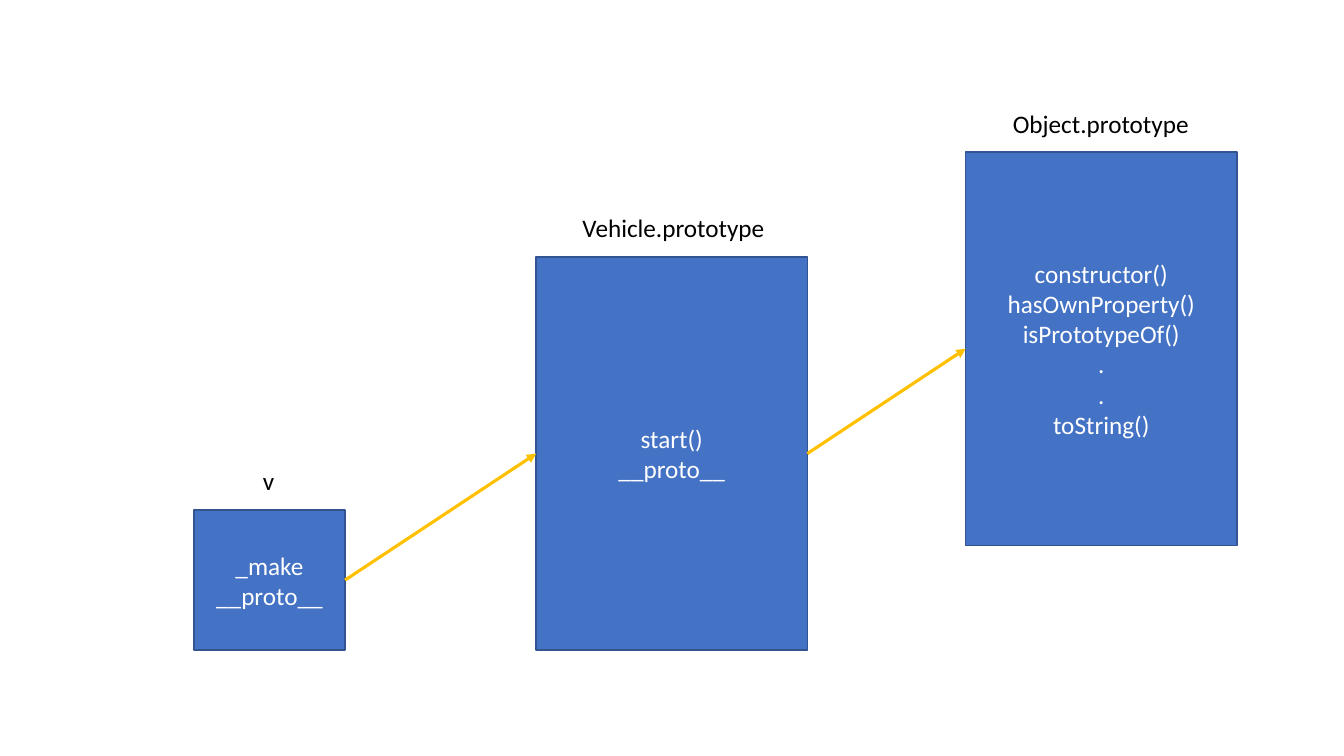
from pptx import Presentation
from pptx.dml.color import RGBColor
from pptx.enum.shapes import MSO_CONNECTOR as CONNECTOR, MSO_SHAPE as SHAPE
from pptx.enum.text import MSO_ANCHOR as ANCHOR, MSO_AUTO_SIZE as AUTO_SIZE, PP_ALIGN as ALIGN
from pptx.oxml.ns import qn
from pptx.util import Pt
from lxml import etree

LABEL_RISE = 35.2
LABEL_HEIGHT = 29


def color(hex_code):
    return RGBColor.from_string(hex_code)


def write_lines(frame, lines, hex_code, alignment):
    frame.text = "\n".join(lines)
    for para in frame.paragraphs:
        para.alignment = alignment
        para.font.name = "Calibri"
        para.font.size = Pt(18)
        para.font.color.rgb = color(hex_code)


deck = Presentation()
deck.slide_width, deck.slide_height = Pt(960), Pt(540)
page = deck.slides.add_slide(deck.slide_layouts[6])

# Prototype chain: label, label left and width, box left, top, width, height, members
chain = [
    ("v", 180.7, 23, 138.5, 364.3, 108, 100.1, ["_make", "__proto__"]),
    ("Vehicle.prototype", 409, 146.2, 383, 183.6, 193.7, 280.8, ["start()", "__proto__"]),
    ("Object.prototype", 716.4, 141.1, 689.8, 108.7, 193.7, 280.8,
     ["constructor()", "hasOwnProperty()", "isPrototypeOf()", ".", ".", "toString()"]),
]

boxes = []
for name, label_left, label_width, left, top, width, height, members in chain:
    box = page.shapes.add_shape(SHAPE.RECTANGLE, Pt(left), Pt(top), Pt(width), Pt(height))
    box.shadow.inherit = False
    box.fill.solid()
    box.fill.fore_color.rgb = color("4472C4")
    box.line.color.rgb = color("325491")
    box.line.width = Pt(1)
    box.text_frame.vertical_anchor = ANCHOR.MIDDLE
    write_lines(box.text_frame, members, "FFFFFF", ALIGN.CENTER)
    boxes.append(box)

    label = page.shapes.add_textbox(
        Pt(label_left), Pt(top - LABEL_RISE), Pt(label_width), Pt(LABEL_HEIGHT))
    label.text_frame.word_wrap = False
    label.text_frame.auto_size = AUTO_SIZE.SHAPE_TO_FIT_TEXT
    write_lines(label.text_frame, [name], "000000", ALIGN.LEFT)

# Each object points to its prototype, from right side to left side
for child, prototype in zip(boxes, boxes[1:]):
    arrow = page.shapes.add_connector(CONNECTOR.STRAIGHT, 0, 0, 0, 0)
    arrow.begin_connect(child, 3)
    arrow.end_connect(prototype, 1)
    arrow.line.color.rgb = color("FFC000")
    arrow.line.width = Pt(2.25)
    etree.SubElement(arrow.line._get_or_add_ln(), qn("a:tailEnd"), type="triangle")
    etree.SubElement(arrow._element.spPr, qn("a:effectLst"))

deck.save("out.pptx")
